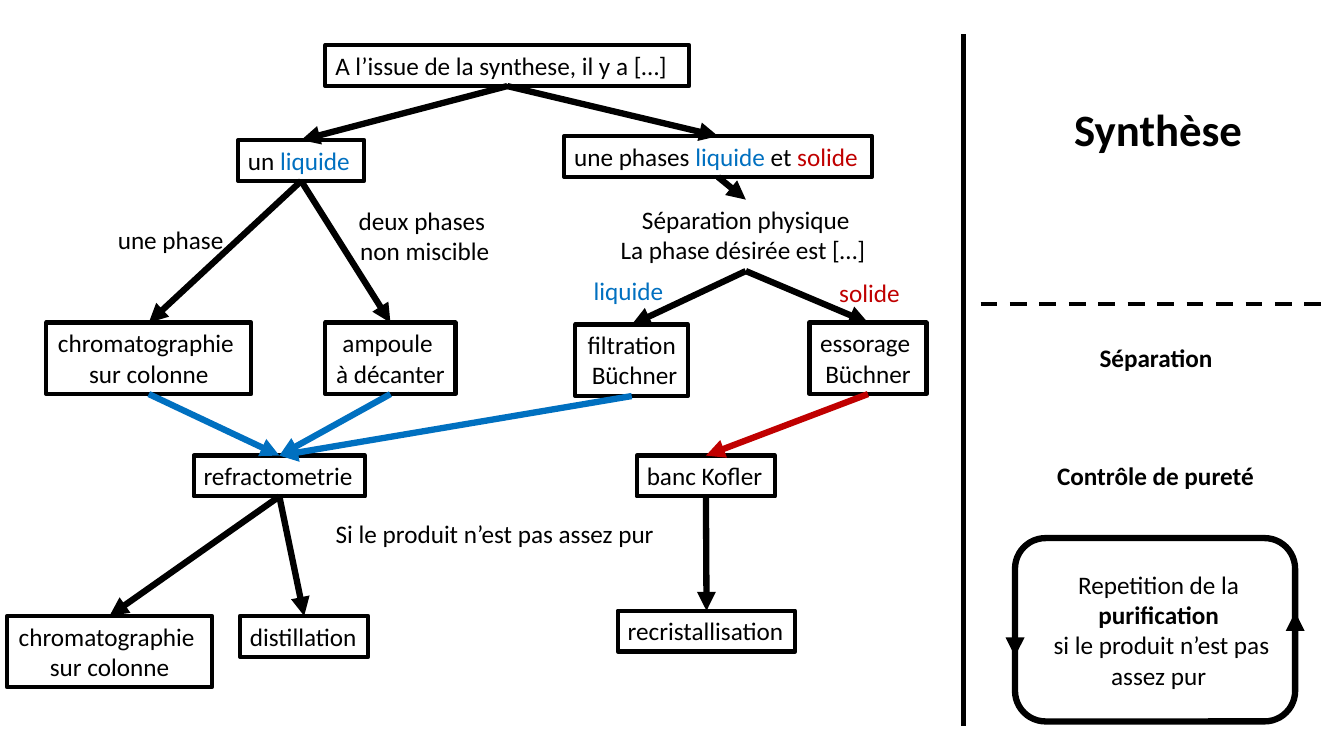
"""Build a slide with a decision tree for separating and purifying a product."""
from dataclasses import dataclass

from lxml import etree
from pptx import Presentation
from pptx.dml.color import RGBColor
from pptx.enum.dml import MSO_LINE
from pptx.enum.shapes import MSO_CONNECTOR, MSO_SHAPE
from pptx.enum.text import MSO_AUTO_SIZE, PP_ALIGN
from pptx.oxml.ns import qn
from pptx.util import Cm, Pt

LEFT, CENTER = PP_ALIGN.LEFT, PP_ALIGN.CENTER
FIT = MSO_AUTO_SIZE.SHAPE_TO_FIT_TEXT
STRAIGHT = MSO_CONNECTOR.STRAIGHT
ROUND = MSO_SHAPE.ROUNDED_RECTANGLE
DASH = MSO_LINE.DASH
BOTTOM, TOP = 2, 0


@dataclass(frozen=True)
class Theme:
    font: str = "Calibri"
    body: Pt = Pt(18)
    title: Pt = Pt(32)
    black: RGBColor = RGBColor(0, 0, 0)
    blue: RGBColor = RGBColor(0x00, 0x70, 0xC0)
    red: RGBColor = RGBColor(0xC0, 0x00, 0x00)
    thin: Pt = Pt(3)
    rule: Pt = Pt(3.5)
    thick: Pt = Pt(4.5)


theme = Theme()
hues = {"liquide": theme.blue, "solide": theme.red}

deck = Presentation()
deck.slide_width, deck.slide_height = Cm(33.87), Cm(19.05)
slide = deck.slides.add_slide(deck.slide_layouts[6])
shapes = slide.shapes


def add_text(lines, x, y, w, h, align=LEFT, size=theme.body, bold=False, wrap=False):
    """Add a text box; a bar splits runs, and state words take their hue."""
    box = shapes.add_textbox(Cm(x), Cm(y), Cm(w), Cm(h))
    frame = box.text_frame
    frame.word_wrap, frame.auto_size = wrap, FIT
    for i, line in enumerate(lines):
        para = frame.add_paragraph() if i else frame.paragraphs[0]
        para.alignment = align
        font = para.font
        font.name, font.size, font.bold = theme.font, size, bold
        font.color.rgb = theme.black
        for part in line.split("|"):
            run = para.add_run()
            run.text = part
            if part in hues:
                run.font.color.rgb = hues[part]
            if part == "purification":
                run.font.bold = True
    return box


def add_line(x1, y1, x2, y2, hue=theme.black, width=theme.thick, head=True):
    """Add a straight line without shadow, with an arrowhead if asked."""
    line = shapes.add_connector(STRAIGHT, Cm(x1), Cm(y1), Cm(x2), Cm(y2))
    line.line.color.rgb, line.line.width = hue, width
    props = line._element.spPr
    if head:
        etree.SubElement(props.find(qn("a:ln")), qn("a:tailEnd"), type="triangle")
    etree.SubElement(props, qn("a:effectLst"))
    return line


ONE, TWO = 1.03, 1.8
column = ["chromatographie ", "sur colonne"]
boxes = {
    "start": (["A l’issue de la synthese, il y a […]"], 8.2, 1.14, 9.17),
    "liquid": (["un |liquide"], 6, 3.53, 3.18),
    "mixed": (["une phases |liquide| et |solide"], 14.22, 3.43, 7.75),
    "column": (column, 1.17, 8.13, 5.16),
    "funnel": (["ampoule ", "à décanter"], 8.2, 8.13, 3.28),
    "filter": (["filtration", " Büchner"], 14.5, 8.18, 2.84),
    "drain": (["essorage ", "Büchner"], 20.4, 8.13, 2.95),
    "index": (["refractometrie"], 4.88, 11.48, 4.32),
    "bench": (["banc Kofler"], 16.05, 11.48, 3.48),
    "again": (column, 0.18, 15.52, 5.16),
    "distil": (["distillation"], 6.05, 15.52, 3.23),
    "crystal": (["recristallisation"], 15.57, 15.39, 4.47),
}
nodes = {}
for name, (lines, x, y, w) in boxes.items():
    pair = len(lines) > 1
    node = add_text(lines, x, y, w, TWO if pair else ONE, CENTER if pair else LEFT)
    node.line.color.rgb, node.line.width = theme.black, theme.thin
    nodes[name] = node
nodes["split"] = add_text(
    ["Séparation physique", "La phase désirée est […] "], 15.34, 5.03, 6.91, TWO, CENTER)

links = [
    ("start", "liquid mixed", theme.black),
    ("liquid", "column funnel", theme.black),
    ("mixed", "split", theme.black),
    ("split", "filter drain", theme.black),
    ("column", "index", theme.blue),
    ("funnel", "index", theme.blue),
    ("filter", "index", theme.blue),
    ("drain", "bench", theme.red),
    ("index", "again distil", theme.black),
    ("bench", "crystal", theme.black),
]
for start, ends, hue in links:
    for end in ends.split():
        link = add_line(0, 0, 1, 1, hue)
        link.begin_connect(nodes[start], BOTTOM)
        link.end_connect(nodes[end], TOP)

add_text(["une phase"], 2.72, 5.54, 3.28, ONE)
add_text(["deux phases ", "non miscible"], 8.76, 5.05, 3.89, TWO, CENTER)
add_text(["liquide"], 14.71, 6.81, 2.29, ONE)
add_text(["solide"], 20.9, 6.86, 2.06, ONE)
add_text(["Si le produit n’est pas assez pur"], 8, 12.93, 8.94, ONE, CENTER)

add_line(24.28, 0.86, 24.28, 18.29, width=theme.rule, head=False)
dash = add_line(24.71, 7.67, 33.32, 7.67, width=theme.thin, head=False)
dash.line.dash_style = DASH
add_text(["Synthèse"], 26.82, 2.44, 4.78, 1.63, size=theme.title, bold=True)
add_text(["Séparation"], 27.46, 8.51, 3.38, ONE, bold=True)
add_text(["Contrôle de pureté"], 26.39, 11.48, 5.51, ONE, bold=True)

loop = shapes.add_shape(ROUND, Cm(25.58), Cm(13.56), Cm(7.06), Cm(4.62))
loop.shadow.inherit = False
loop.fill.background()
loop.line.color.rgb, loop.line.width = theme.black, theme.thick
add_line(25.58, 15.24, 25.58, 16.54)
add_line(32.64, 17.15, 32.64, 15.42)
add_text(["Repetition de la |purification", " si le produit n’est pas assez pur"],
         26.09, 14.22, 6.22, 3.33, CENTER, wrap=True)

deck.save("out.pptx")
